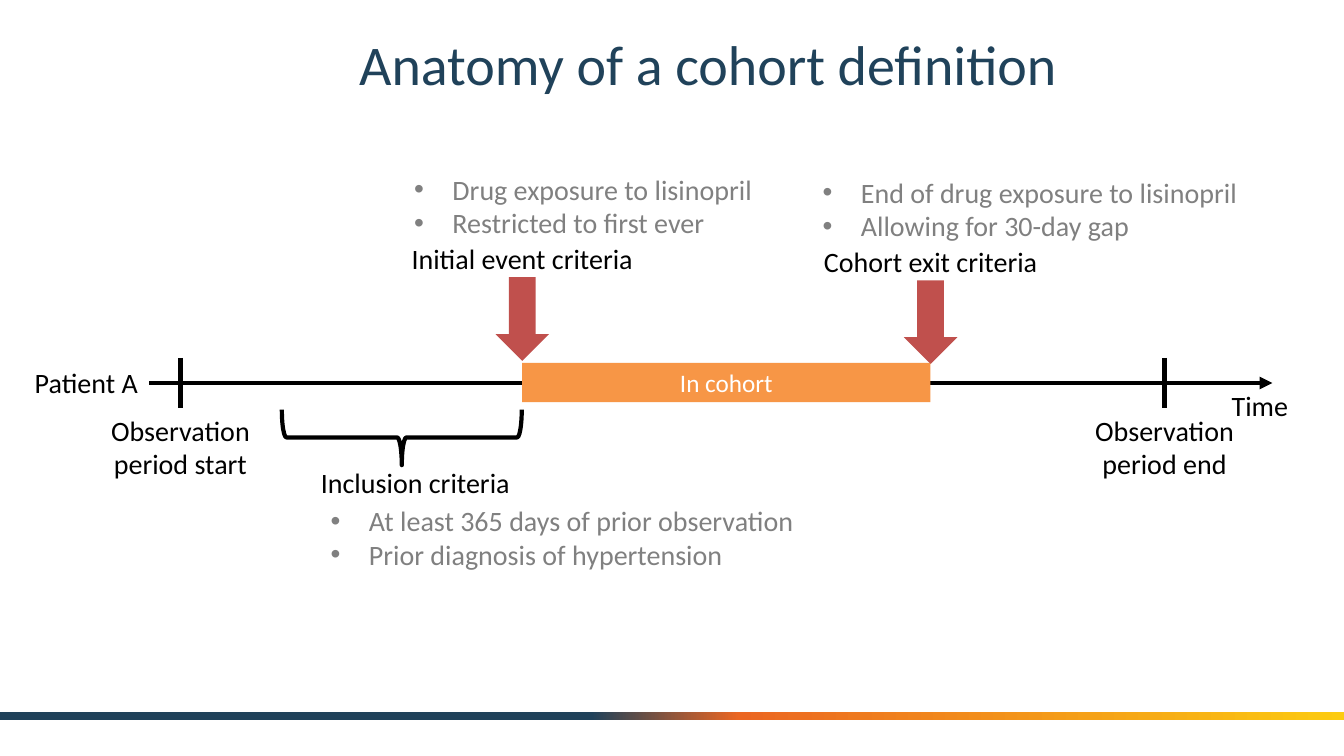
from pptx import Presentation
from pptx import util as u
from pptx.dml.color import RGBColor
from pptx.enum import shapes, text
from pptx.oxml import parse_xml
from pptx.oxml.ns import nsdecls, qn
from copy import deepcopy

HUES = {"navy": "20425A", "flame": "EB6622", "gold": "FCCB10", "ink": "000000",
        "note": "808080", "red": "C0504D", "orange": "F79646", "white": "FFFFFF"}
FORM = shapes.MSO_SHAPE


def hue(name):
    return RGBColor.from_string(HUES[name])


class Board:
    """Draws on one slide; all places and lengths are percent of its size."""
    font, size, width = "Calibri", 20, 3

    def __init__(self, deck):
        self.wide, self.high = deck.slide_width, deck.slide_height
        self.slide = deck.slides.add_slide(deck.slide_layouts[5])
        self.items = self.slide.shapes

    def spot(self, x, y):
        return int(self.wide * x / 100), int(self.high * y / 100)

    def area(self, x, y, w, h):
        return self.spot(x, y) + self.spot(w, h)

    def letter(self, frame, words, color="ink", size=size, align="CENTER"):
        """Fill a text frame and format its runs."""
        frame.text = words
        for para in frame.paragraphs:
            para.alignment = text.PP_ALIGN[align]
            for run in para.runs:
                run.font.name, run.font.size = self.font, u.Pt(size)
                run.font.color.rgb = hue(color)

    def title(self, words, *area):
        head = self.items.title
        head.left, head.top, head.width, head.height = self.area(*area)
        head.text_frame.vertical_anchor = text.MSO_ANCHOR.MIDDLE
        self.letter(head.text_frame, words, "navy", 40)

    def label(self, words, *area, **style):
        frame = self.items.add_textbox(*self.area(*area)).text_frame
        frame.word_wrap = False
        frame.auto_size = text.MSO_AUTO_SIZE.SHAPE_TO_FIT_TEXT
        self.letter(frame, words, **style)
        return frame

    def bullets(self, words, *area):
        frame = self.label(words, *area, color="note", align="LEFT")
        for para in frame.paragraphs:
            props = para._p.get_or_add_pPr()
            props.set("marL", str(u.Inches(0.38)))
            props.set("indent", str(-u.Inches(0.38)))
            for mark in ('buFont %s typeface="Arial"', 'buChar %s char="•"'):
                props.append(parse_xml("<a:" + mark % nsdecls("a") + "/>"))

    def shape(self, form, *area, fill=None):
        item = self.items.add_shape(form, *self.area(*area))
        item.shadow.inherit = False
        item.line.fill.background()
        if fill:
            item.fill.solid()
            item.fill.fore_color.rgb = hue(fill)
        else:
            item.fill.background()
        return item

    def band(self, stops, *area):
        """A bar with a left-to-right gradient of (share, color) stops."""
        item = self.shape(FORM.RECTANGLE, *area)
        item.fill.gradient()
        item.fill.gradient_angle = 0
        marks = item._element.spPr.find(qn("a:gradFill")).find(qn("a:gsLst"))
        marks.append(deepcopy(marks[0]))
        for stop, (share, color) in zip(item.fill.gradient_stops, stops):
            stop.position = share
            stop.color.rgb = hue(color)

    def ink(self, line):
        line.color.rgb, line.width = hue("ink"), u.Pt(self.width)

    def brace(self, *area):
        item = self.shape(FORM.RIGHT_BRACE, *area)
        item.rotation = 90
        self.ink(item.line)

    def line(self, x1, y1, x2, y2, arrow=False):
        item = self.items.add_connector(
            shapes.MSO_CONNECTOR.STRAIGHT, *self.spot(x1, y1), *self.spot(x2, y2))
        self.ink(item.line)
        props = item._element.spPr
        if arrow:
            props.find(qn("a:ln")).append(
                parse_xml(f'<a:tailEnd {nsdecls("a")} type="triangle"/>'))
        props.append(parse_xml(f'<a:effectLst {nsdecls("a")}/>'))


def main():
    deck = Presentation()
    deck.slide_width, deck.slide_height = u.Inches(13.33), u.Inches(7.5)
    board = Board(deck)
    axis, entry, leave = 50.67, 38.86, 69.24
    one, two = 5.87, 10.27  # heights of one and two lines of text

    board.band([(0.44, "navy"), (0.55, "flame"), (1, "gold")], 0, 94.13, 100, 1.07)
    board.title("Anatomy of a cohort definition", 10.28, 2.27, 84.77, 12.27)

    board.line(11.1, axis, 94.67, axis, arrow=True)
    board.label("Patient A", 1.65, 47.73, 9.53, one)
    board.label("Time", 90.85, axis, 5.78, one)
    for x, edge in ((13.43, "start"), (86.65, "end")):
        board.line(x, axis - 3.33, x, axis + 3.33)
        board.label(f"Observation\nperiod {edge}", x - 5.97, 54, 11.93, two)

    for x, y, left, wide, words in (
            (entry, 36.67, 29.78, 18.15, "Initial event criteria"),
            (leave, 37.07, 60.47, 17.55, "Cohort exit criteria")):
        board.shape(FORM.DOWN_ARROW, x - 1.99, y, 3.98, 11.07, fill="red")
        board.label(words, left, y - 5.33, wide, one)

    stay = board.shape(FORM.RECTANGLE, entry, 48, leave - entry, 5.2, fill="orange")
    stay.text_frame.vertical_anchor = text.MSO_ANCHOR.MIDDLE
    board.letter(stay.text_frame, "In cohort", "white", 18)

    board.brace(27.83, 42, 4.13, 31.73)
    board.label("Inclusion criteria", 23.03, 60.93, 15.75, one)

    for words, x, y, wide in (
            ("At least 365 days of prior observation\nPrior diagnosis of hypertension",
             23.86, 66, 36.23),
            ("Drug exposure to lisinopril\nRestricted to first ever", 30.08, 22.13, 26.86),
            ("End of drug exposure to lisinopril\nAllowing for 30-day gap",
             60.47, 22.53, 32.56)):
        board.bullets(words, x, y, wide, two)

    deck.save("out.pptx")


if __name__ == "__main__":
    main()
